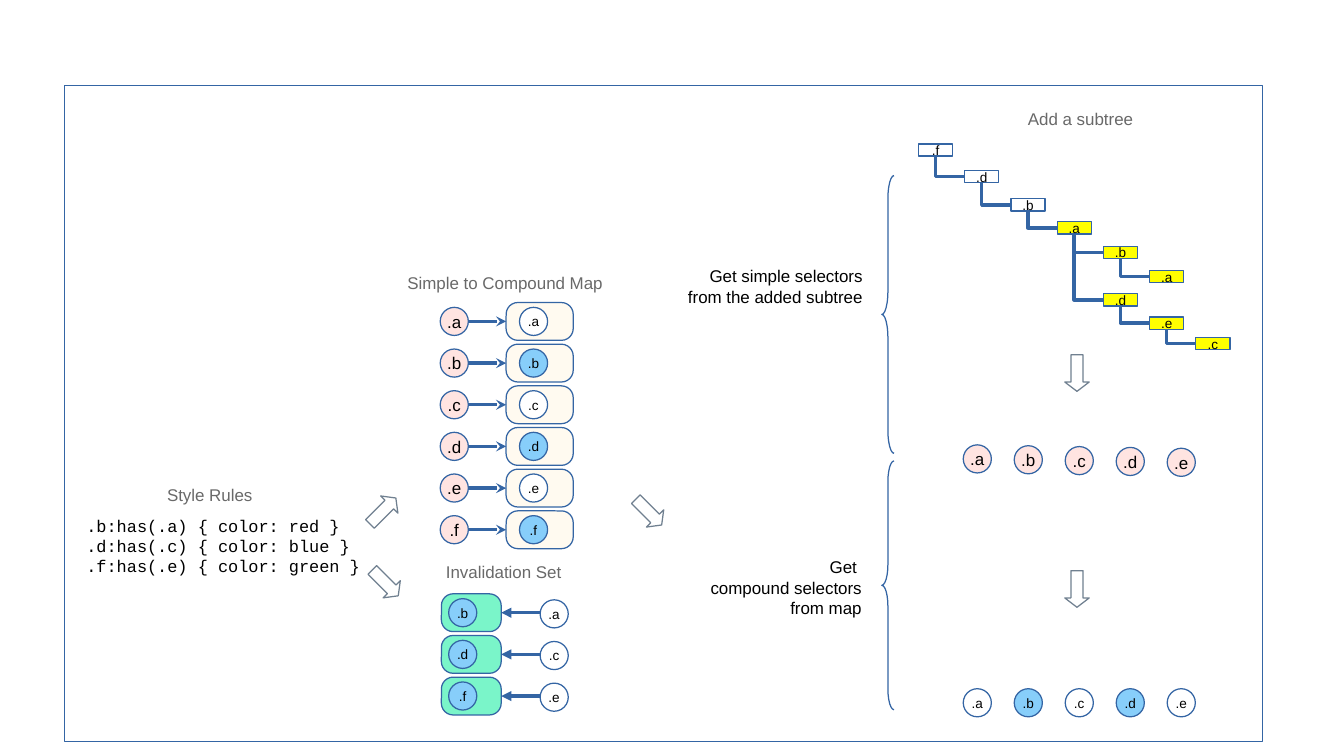
from pptx import Presentation
from pptx import util as u
from pptx.dml import color
from pptx.enum import shapes, text
from pptx.oxml import ns, xmlchemy

Pt = u.Pt
COLORS = {
    "white": "FFFFFF", "black": "000000", "line": "3465A4", "block_arrow": "708090",
    "heading": "696969", "added": "FFFF00", "simple": "FFE4E1", "matched": "87CEFA",
    "map": "FFFAF0", "invalidation": "7AF5C9",
}
ALIGN = text.PP_ALIGN
SHAPE = shapes.MSO_SHAPE
CIRCLE = 16.6
ROW_HEIGHT, ROW_PITCH = 22.3, 24.6
NODE_WIDTH, NODE_HEIGHT = 20.2, 7.2
MATCHED = {".b", ".d", ".f"}

# Label, level, top, index of the parent, added with the subtree
TREE = [
    (".f", 0, 85, None, False),
    (".d", 1, 100.8, 0, False),
    (".b", 2, 117.4, 1, False),
    (".a", 3, 131, 2, True),
    (".b", 4, 145.4, 3, True),
    (".a", 5, 159.8, 4, True),
    (".d", 4, 173.5, 3, True),
    (".e", 5, 187.2, 6, True),
    (".c", 6, 199.4, 7, True),
]


def rgb(name):
    return color.RGBColor.from_string(COLORS[name])


def write(shape, lines, size, font="Arial", ink="black", align=ALIGN.CENTER,
          anchor=text.MSO_ANCHOR.MIDDLE, wrap=False):
    frame = shape.text_frame
    frame.word_wrap = wrap
    frame.vertical_anchor = anchor
    frame.text = lines
    for paragraph in frame.paragraphs:
        paragraph.alignment = align
        for run in paragraph.runs:
            run.font.size = Pt(size)
            run.font.name = font
            run.font.color.rgb = rgb(ink)


def add_box(slide, kind, left, top, width, height, fill=None, line="line"):
    shape = slide.shapes.add_shape(kind, Pt(left), Pt(top), Pt(width), Pt(height))
    shape.shadow.inherit = False
    if fill:
        shape.fill.solid()
        shape.fill.fore_color.rgb = rgb(fill)
    else:
        shape.fill.background()
    if line:
        shape.line.color.rgb = rgb(line)
        shape.line.width = Pt(0)
    else:
        shape.line.fill.background()
    return shape


def add_heading(slide, left, top, width, words, align=ALIGN.CENTER):
    heading = add_box(slide, SHAPE.RECTANGLE, left, top, width, 22.3, "white", None)
    write(heading, words, 10, ink="heading", align=align)


def add_text(slide, left, top, width, height, lines, **style):
    box = slide.shapes.add_textbox(Pt(left), Pt(top), Pt(width), Pt(height))
    write(box, lines, 10, **style)


def add_circle(slide, center_x, center_y, label, fill, size=8):
    circle = add_box(slide, SHAPE.OVAL, center_x - CIRCLE / 2, center_y - CIRCLE / 2,
                     CIRCLE, CIRCLE, fill)
    write(circle, label, size)


def add_compound(slide, center_x, center_y, label):
    add_circle(slide, center_x, center_y, label, "matched" if label in MATCHED else "white")


def add_row_box(slide, left, center_y, width, fill):
    box = add_box(slide, SHAPE.ROUNDED_RECTANGLE, left, center_y - ROW_HEIGHT / 2,
                  width, ROW_HEIGHT, fill)
    box.adjustments[0] = 0.31


def add_block_arrow(slide, left, top, rotation):
    arrow = add_box(slide, SHAPE.RIGHT_ARROW, left, top, 21.6, 14.4, "white", "block_arrow")
    arrow.adjustments[0], arrow.adjustments[1] = 0.5, 0.38
    arrow.rotation = rotation


def add_brace(slide, top, height):
    brace = add_box(slide, SHAPE.LEFT_BRACE, 520.6, top, 7.2, height)
    brace.adjustments[0] = height / 12 / 7.2


def add_line(slide, kind, start_x, start_y, end_x, end_y):
    line = slide.shapes.add_connector(kind, Pt(start_x), Pt(start_y), Pt(end_x), Pt(end_y))
    line.line.color.rgb = rgb("line")
    line.line.width = Pt(0)
    properties = line._element.spPr
    properties.append(xmlchemy.OxmlElement("a:effectLst"))
    return line


def add_arrow(slide, start_x, end_x, y, head):
    arrow = add_line(slide, shapes.MSO_CONNECTOR.STRAIGHT, start_x, y, end_x, y)
    tail = xmlchemy.OxmlElement("a:tailEnd")
    tail.set("type", head)
    arrow.line._get_or_add_ln().append(tail)


def add_branch(slide, child, parent):
    branch = add_line(slide, shapes.MSO_CONNECTOR.ELBOW, 0, 0, 0, 0)
    # One bend: from the left side of the child to the bottom of the parent
    branch._element.spPr.find(ns.qn("a:prstGeom")).set("prst", "bentConnector2")
    branch.begin_connect(child, 1)
    branch.end_connect(parent, 2)


def add_tree(slide):
    nodes = []
    for label, level, top, parent, added in TREE:
        node = add_box(slide, SHAPE.RECTANGLE, 542.2 + 27.3 * level, top,
                       NODE_WIDTH, NODE_HEIGHT, "added" if added else "white")
        write(node, label, 8)
        nodes.append(node)
        if parent is not None:
            add_branch(slide, node, nodes[parent])


def add_map(slide):
    for row, label in enumerate([".a", ".b", ".c", ".d", ".e", ".f"]):
        y = 189.8 + ROW_PITCH * row
        add_row_box(slide, 298.8, y, 39.6, "map")
        add_circle(slide, 268.2, y, label, "simple", 10)
        add_compound(slide, 315, y, label)
        add_arrow(slide, 276.5, 298.8, y, "stealth")


def add_invalidation_set(slide):
    for row, (target, source) in enumerate([(".b", ".a"), (".d", ".c"), (".f", ".e")]):
        y = 361.8 + ROW_PITCH * row
        add_row_box(slide, 260.6, y, 35.3, "invalidation")
        add_compound(slide, 273.2, y, target)
        add_compound(slide, 327.2, y + 0.7, source)
        add_arrow(slide, 318.6, 295.9, y, "triangle")


def add_selectors(slide):
    for column, label in enumerate([".a", ".b", ".c", ".d", ".e"]):
        x = 577 + 30.1 * column
        add_circle(slide, x, 271 + 0.5 * column, label, "simple", 10)
        add_compound(slide, x, 415, label)


def main():
    presentation = Presentation()
    presentation.slide_width, presentation.slide_height = Pt(793.44), Pt(446.4)
    slide = presentation.slides.add_slide(presentation.slide_layouts[6])
    add_box(slide, SHAPE.RECTANGLE, 38.2, 50.4, 707, 387.4)

    # Style rules
    add_heading(slide, 65.5, 280.8, 116.6, "Style Rules")
    add_text(slide, 43.9, 298.1, 178.6, 48.2,
             ".b:has(.a) { color: red }\n.d:has(.c) { color: blue }\n"
             ".f:has(.e) { color: green }", font="Courier New", align=ALIGN.LEFT)

    # Map and invalidation set
    add_heading(slide, 239.8, 155.5, 116.6, "Simple to Compound Map")
    add_map(slide)
    add_heading(slide, 239, 326.2, 116.6, "Invalidation Set")
    add_invalidation_set(slide)

    # Added subtree and the selectors taken from it
    add_heading(slide, 599.8, 59, 74.2, "Add a subtree", ALIGN.LEFT)
    add_tree(slide)
    add_selectors(slide)

    # Steps
    step = {"align": ALIGN.RIGHT, "anchor": text.MSO_ANCHOR.TOP, "wrap": True}
    add_text(slide, 383, 153.4, 133.2, 40.3,
             "Get simple selectors\nfrom the added subtree", **step)
    add_brace(slide, 103.7, 164)
    add_text(slide, 409.7, 325.4, 106, 40.3, "Get \ncompound selectors\nfrom map", **step)
    add_brace(slide, 272.2, 146.9)

    # Block arrows
    for left, top, rotation in [(215.3, 294.5, 315), (216.7, 337, 45), (372.2, 295.2, 45),
                                (625, 213.1, 90), (625, 340.6, 90)]:
        add_block_arrow(slide, left, top, rotation)

    presentation.save("out.pptx")


if __name__ == "__main__":
    main()
